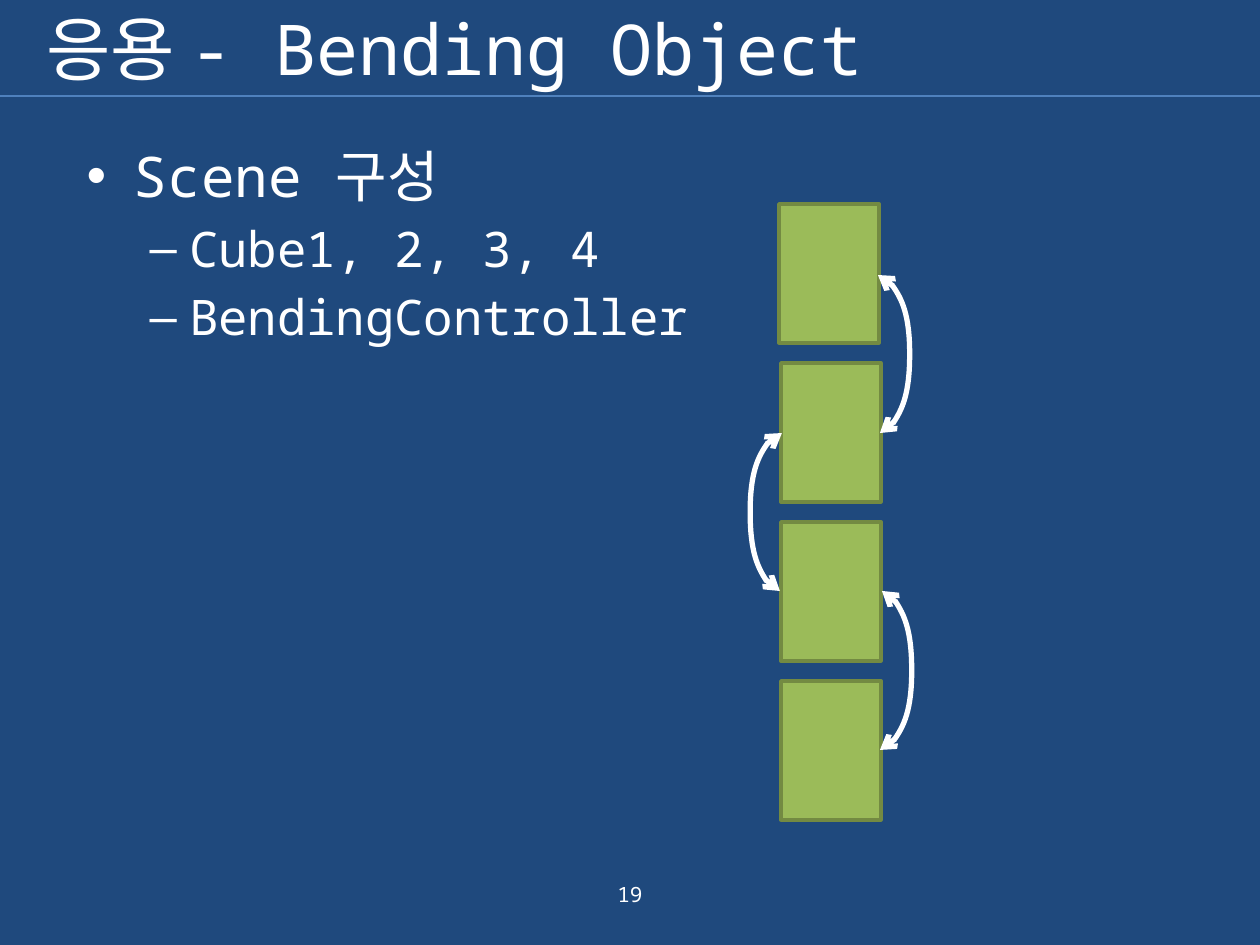
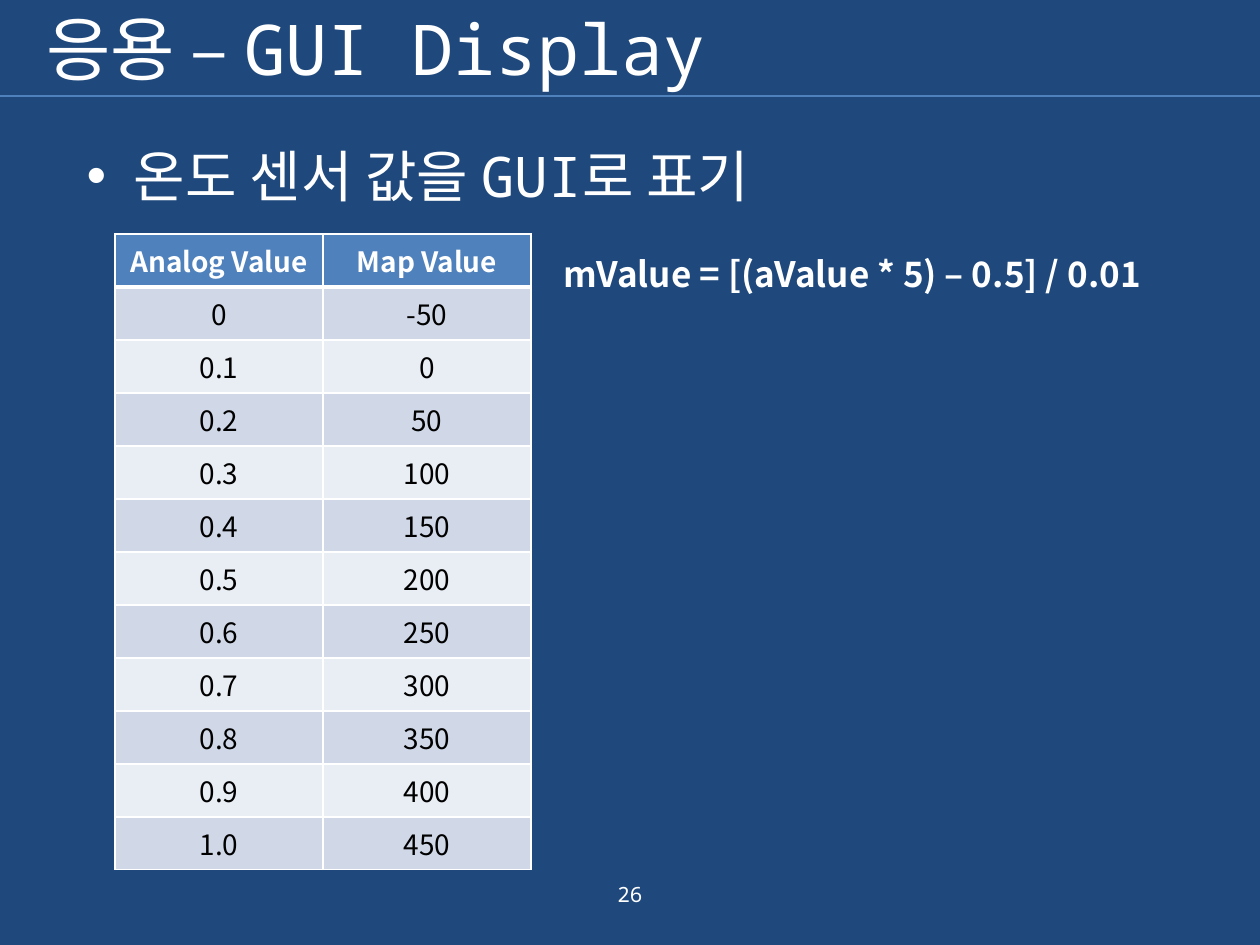
from dataclasses import dataclass

from lxml.etree import SubElement
from pptx import Presentation
from pptx.dml.color import RGBColor
from pptx.enum.shapes import MSO_CONNECTOR, MSO_SHAPE
from pptx.enum.text import MSO_ANCHOR, MSO_AUTO_SIZE, PP_ALIGN
from pptx.oxml.ns import qn
from pptx.util import Emu, Pt

SCALE = 914400 / 126
MONO = "Noto Sans Mono"
SANS = "Noto Sans CJK KR"
NAVY = "1F497D"
BLUE = "4F81BD"
GREEN = "9BBB59"
OLIVE = "738A42"
WHITE = "FFFFFF"
BLACK = "000000"
BANDS = ("D0D8E8", "E9EDF4")


@dataclass
class Box:
    left: int
    top: int
    width: int
    height: int

    def place(self, shape) -> None:
        shape.left, shape.top = px(self.left), px(self.top)
        shape.width, shape.height = px(self.width), px(self.height)


@dataclass
class Style:
    size: int
    font: str = MONO
    color: str = WHITE
    bold: bool = False


@dataclass
class Item:
    text: str
    level: int = 0


@dataclass
class Link:
    start: tuple[int, int]
    end: tuple[int, int]


TITLE_BOX = Box(34, 0, 1082, 96)
BODY_BOX = Box(74, 135, 1111, 338)
PAGE_BOX = Box(507, 869, 246, 51)
TITLE = Style(40)
LEVELS = (Style(32), Style(28))
PAGE = Style(12)
HEADER = Style(16, SANS, WHITE, True)
VALUE = Style(16, SANS, BLACK)
FORMULA = Style(20, SANS, WHITE, True)

BULGE = 32
CUBES = [Box(779 if row == 0 else 781, 204 + 159 * row, 100, 139) for row in range(4)]
LINKS = [
    Link((878, 275), (880, 433)),
    Link((782, 433), (780, 591)),
    Link((880, 750), (882, 591)),
]
ROWS = [("Analog Value", "Map Value")] + [
    (f"{step / 10:.1f}" if step else "0", str(step * 50 - 50)) for step in range(11)
]


def px(length: int) -> Emu:
    return Emu(round(length * SCALE))


def rgb(code: str) -> RGBColor:
    return RGBColor.from_string(code)


def fill(target, code: str) -> None:
    target.fill.solid()
    target.fill.fore_color.rgb = rgb(code)


def stroke(line, code: str, width: float) -> None:
    fill(line, code)
    line.width = Pt(width)


def add_run(para, text: str, style: Style) -> None:
    run = para.add_run()
    run.text = text
    font = run.font
    font.name, font.size, font.bold = style.font, Pt(style.size), style.bold
    font.color.rgb = rgb(style.color)
    SubElement(run._r.get_or_add_rPr(), qn("a:ea"), typeface=SANS)


def set_frame(frame, anchor: MSO_ANCHOR) -> None:
    frame.word_wrap = True
    frame.auto_size = MSO_AUTO_SIZE.NONE
    frame.vertical_anchor = anchor


def add_label(slide, box: Box, text: str, style: Style, align: PP_ALIGN, anchor: MSO_ANCHOR) -> None:
    label = slide.shapes.add_textbox(0, 0, 0, 0)
    box.place(label)
    set_frame(label.text_frame, anchor)
    para = label.text_frame.paragraphs[0]
    para.alignment = align
    add_run(para, text, style)


def add_line(slide, kind: MSO_CONNECTOR, link: Link, code: str, width: float):
    points = [px(value) for value in (*link.start, *link.end)]
    line = slide.shapes.add_connector(kind, *points)
    stroke(line.line, code, width)
    SubElement(line.element.spPr, qn("a:effectLst"))
    return line


def add_curve(slide, link: Link) -> None:
    curve = add_line(slide, MSO_CONNECTOR.CURVE, link, WHITE, 3)
    props = curve.element.spPr
    guides = props.find(qn("a:prstGeom")).find(qn("a:avLst"))
    bend = BULGE * 100000 // abs(link.end[0] - link.start[0])
    SubElement(guides, qn("a:gd"), name="adj1", fmla=f"val {bend}")
    for end in ("a:headEnd", "a:tailEnd"):
        SubElement(props.find(qn("a:ln")), qn(end), type="arrow")


def add_cube(slide, box: Box) -> None:
    cube = slide.shapes.add_shape(MSO_SHAPE.RECTANGLE, 0, 0, 0, 0)
    box.place(cube)
    cube.shadow.inherit = False
    fill(cube, GREEN)
    stroke(cube.line, OLIVE, 2)


def add_edges(cell, row: int) -> None:
    props = cell._tc.get_or_add_tcPr()
    widths = {"L": 1, "R": 1, "T": 3 if row == 1 else 1, "B": 3 if row == 0 else 1}
    for spot, (side, width) in enumerate(widths.items()):
        edge = SubElement(props, qn(f"a:ln{side}"), w=str(Pt(width)))
        paint = SubElement(edge, qn("a:solidFill"))
        SubElement(paint, qn("a:srgbClr"), val=WHITE)
        props.insert(spot, edge)


def add_grid(slide, box: Box, rows: list[tuple[str, str]]) -> None:
    frame = slide.shapes.add_table(
        len(rows), len(rows[0]), px(box.left), px(box.top), px(box.width), px(box.height)
    )
    for row, texts in enumerate(rows):
        for col, text in enumerate(texts):
            cell = frame.table.cell(row, col)
            fill(cell, BANDS[(row - 1) % 2] if row else BLUE)
            add_edges(cell, row)
            para = cell.text_frame.paragraphs[0]
            para.alignment = PP_ALIGN.CENTER
            add_run(para, text, VALUE if row else HEADER)


def add_page(deck, title: str, items: list[Item], number: int):
    slide = deck.slides.add_slide(deck.slide_layouts[1])
    add_line(slide, MSO_CONNECTOR.STRAIGHT, Link((0, 96), (1260, 96)), BLUE, 0.75)
    head, body = slide.placeholders
    TITLE_BOX.place(head)
    set_frame(head.text_frame, MSO_ANCHOR.MIDDLE)
    para = head.text_frame.paragraphs[0]
    para.alignment = PP_ALIGN.LEFT
    add_run(para, title, TITLE)
    BODY_BOX.place(body)
    frame = body.text_frame
    set_frame(frame, MSO_ANCHOR.TOP)
    for spot, item in enumerate(items):
        para = frame.add_paragraph() if spot else frame.paragraphs[0]
        para.level = item.level
        para.font.color.rgb = rgb(WHITE)
        add_run(para, item.text, LEVELS[item.level])
    add_label(slide, PAGE_BOX, str(number), PAGE, PP_ALIGN.CENTER, MSO_ANCHOR.MIDDLE)
    return slide


def add_bending(deck) -> None:
    items = [Item("Scene 구성"), Item("Cube1, 2, 3, 4", 1), Item("BendingController", 1)]
    slide = add_page(deck, "응용 - Bending Object", items, 19)
    for cube in CUBES:
        add_cube(slide, cube)
    for link in LINKS:
        add_curve(slide, link)


def add_display(deck) -> None:
    slide = add_page(deck, "응용 – GUI Display", [Item("온도 센서 값을 GUI로 표기")], 26)
    add_grid(slide, Box(115, 234, 416, 564), ROWS)
    add_label(
        slide, Box(551, 246, 684, 55), "mValue = [(aValue * 5) – 0.5] / 0.01",
        FORMULA, PP_ALIGN.LEFT, MSO_ANCHOR.TOP,
    )


def main() -> None:
    deck = Presentation()
    deck.slide_width, deck.slide_height = px(1260), px(945)
    fill(deck.slide_master.background, NAVY)
    add_bending(deck)
    add_display(deck)
    deck.save("out.pptx")


if __name__ == "__main__":
    main()
